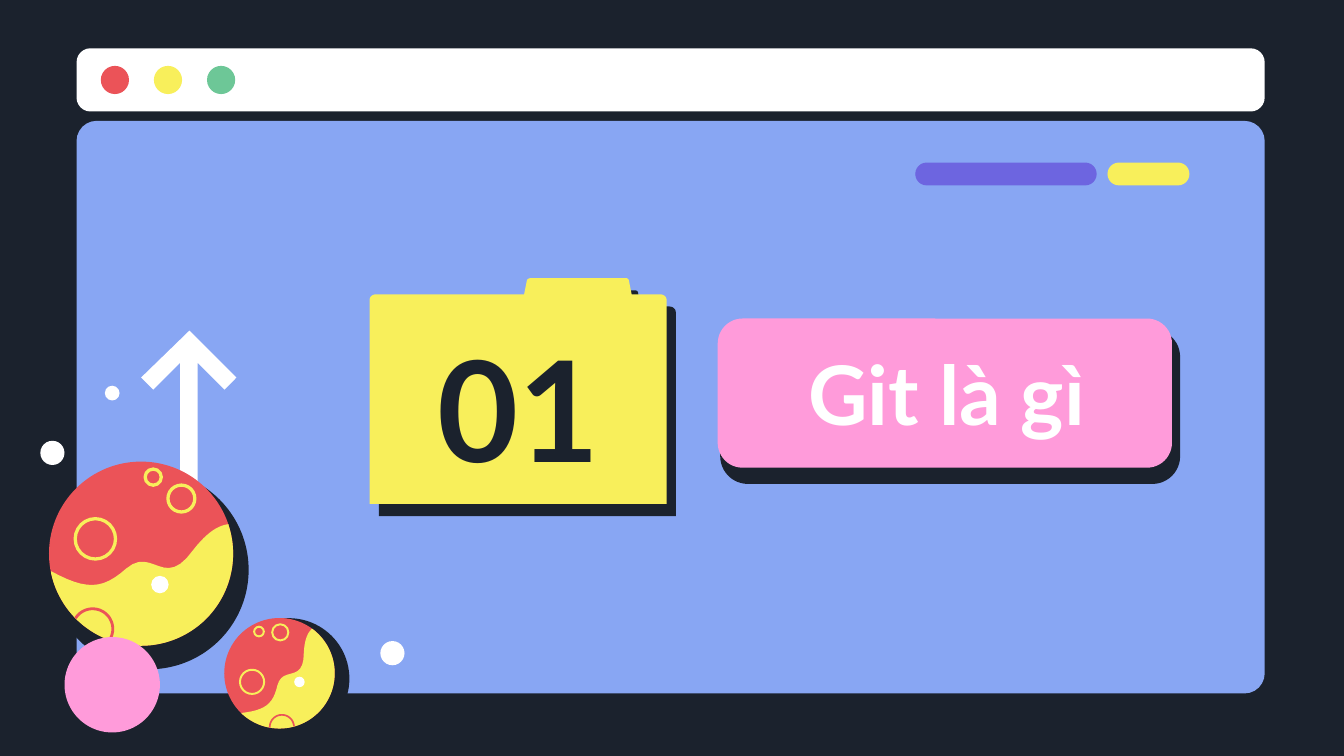
from math import cos, radians, sin

from lxml import etree
from pptx import Presentation
from pptx.dml.color import RGBColor
from pptx.enum.shapes import MSO_SHAPE
from pptx.enum.text import MSO_ANCHOR, PP_ALIGN
from pptx.oxml.ns import qn
from pptx.util import Inches, Pt

OVAL, ROUND = MSO_SHAPE.OVAL, MSO_SHAPE.ROUNDED_RECTANGLE
MIDDLE, CENTER = MSO_ANCHOR.MIDDLE, PP_ALIGN.CENTER

DARK = RGBColor(0x1B, 0x22, 0x2D)
WHITE = RGBColor(0xFF, 0xFF, 0xFF)
BLUE = RGBColor(0x88, 0xA6, 0xF3)
RED = RGBColor(0xEB, 0x53, 0x58)
YELLOW = RGBColor(0xF8, 0xEF, 0x5B)
GREEN = RGBColor(0x6D, 0xC7, 0x97)
PURPLE = RGBColor(0x6D, 0x65, 0xE0)
PINK = RGBColor(0xFF, 0x9B, 0xDA)

prs = Presentation()
prs.slide_width = Inches(10)
prs.slide_height = prs.slide_width * 9 // 16
slide = prs.slides.add_slide(prs.slide_layouts[6])
slide.background.fill.solid()
slide.background.fill.fore_color.rgb = DARK
shapes = slide.shapes


def draw(outline, fill, line=None, width=0, closed=True):
    """Draw (preset, x, y, w, h), or a list of points as a freeform."""
    if isinstance(outline, tuple):
        s = shapes.add_shape(outline[0], *map(Inches, outline[1:]))
    else:
        points = [(Inches(x), Inches(y)) for x, y in outline]
        builder = shapes.build_freeform(*points[0])
        builder.add_line_segments(points[1:], close=closed)
        s = builder.convert_to_shape()
    s.shadow.inherit = False
    if fill is None:
        s.fill.background()
    else:
        s.fill.solid()
        s.fill.fore_color.rgb = fill
    if line is None:
        s.line.fill.background()
    else:
        s.line.color.rgb = line
        s.line.width = Pt(width)
    return s


def bezier(a, b, c, d, steps=12):
    ts = [i / steps for i in range(steps + 1)]
    return [tuple((1 - t) ** 3 * p + 3 * t * (1 - t) ** 2 * q
                  + 3 * t * t * (1 - t) * r + t ** 3 * s
                  for p, q, r, s in zip(a, b, c, d)) for t in ts]


# Browser window
for x, y, w, h, adj, color in [
    (0.57, 0.9, 8.84, 4.26, 0.035, BLUE),
    (0.57, 0.36, 8.84, 0.47, 0.22, WHITE),
    (6.81, 1.21, 1.35, 0.17, 0.5, PURPLE),
    (8.24, 1.21, 0.61, 0.17, 0.5, YELLOW),
]:
    draw((ROUND, x, y, w, h), color).adjustments[0] = adj
for i, color in enumerate([RED, YELLOW, GREEN]):
    draw((OVAL, 0.75 + i * 0.395, 0.49, 0.21, 0.21), color)

for x, y, d in [(0.3, 3.28, 0.18), (2.83, 4.77, 0.18), (0.78, 2.87, 0.11)]:
    draw((OVAL, x, y, d, d), WHITE)

# Arrow
draw([(1.34, 4.29), (1.34, 2.7), (1.14, 2.9), (1.05, 2.81), (1.41, 2.46),
      (1.76, 2.81), (1.67, 2.9), (1.47, 2.7), (1.47, 4.29)], WHITE)

# Title button
back = draw((ROUND, 5.38, 2.47, 3.38, 1.11), DARK, DARK, 3)
front = draw((ROUND, 5.34, 2.37, 3.38, 1.11), PINK)
for s in (back, front):
    s.adjustments[0] = 0.167

# Folder with a hard shadow
folder = draw(
    [(4.96, 3.75), (2.75, 3.75)]
    + bezier((2.75, 2.23), (2.75, 2.21), (2.77, 2.19), (2.8, 2.19))
    + [(3.9, 2.19)]
    + bezier((3.92, 2.09), (3.92, 2.08), (3.93, 2.07), (3.95, 2.07))
    + bezier((4.66, 2.07), (4.67, 2.07), (4.68, 2.08), (4.68, 2.09))
    + [(4.7, 2.19)]
    + bezier((4.91, 2.19), (4.94, 2.19), (4.96, 2.21), (4.96, 2.23)),
    YELLOW)
effects = folder._element.spPr.find(qn("a:effectLst"))
shadow = etree.SubElement(effects, qn("a:outerShdw"), dist=str(Pt(8.2)),
                          dir=str(53 * 60000), algn="bl", rotWithShape="0")
etree.SubElement(shadow, qn("a:srgbClr"), val=str(DARK))

for text, x, y, w, h, size, color in [
    ("01", 3.01, 2.53, 1.7, 0.99, 75, DARK),
    ("Git là gì", 5.45, 2.46, 3.19, 0.92, 44, WHITE),
]:
    tf = shapes.add_textbox(*map(Inches, (x, y, w, h))).text_frame
    tf.word_wrap = True
    tf.vertical_anchor = MIDDLE
    tf.margin_left = tf.margin_right = Inches(0.1)
    tf.margin_top = tf.margin_bottom = Inches(0.1)
    p = tf.paragraphs[0]
    p.text = text
    p.alignment = CENTER
    p.font.name, p.font.size, p.font.bold = "Lato", Pt(size), True
    p.font.color.rgb = color

# Planet parts, measured from the centre of the large planet
RADIUS = 0.685
lowland = (
    bezier((-0.67, 0.13), (-0.41, 0.27), (-0.29, 0.27), (-0.11, 0.11))
    + bezier((-0.11, 0.11), (0.09, -0.06), (0.17, 0.28), (0.39, -0.03))
    + bezier((0.39, -0.03), (0.5, -0.17), (0.58, -0.21), (0.65, -0.22))
    + [(RADIUS * cos(radians(a)), RADIUS * sin(radians(a)))
       for a in range(-18, 170, 3)])
crater = [(-0.36 + 0.15 * cos(radians(a)), 0.56 + 0.15 * sin(radians(a)))
          for a in range(-148, 33, 6)]
discs = [  # x, y, diameter, fill, line
    (-0.34, -0.11, 0.3, None, YELLOW),
    (0.3, -0.41, 0.2, None, YELLOW),
    (0.09, -0.57, 0.12, None, YELLOW),
    (0.14, 0.23, 0.13, WHITE, None),
]

for cx, cy, scale, turn, shade in [
    (1.05, 4.12, 1, 0, (0.37, 3.5, 1.48, 1.48)),
    (2.08, 5.01, 0.6, -35.2, (1.7, 4.6, 0.9, 0.9)),
]:
    c, n = scale * cos(radians(turn)), scale * sin(radians(turn))
    ground, rim, centers = [
        [(cx + x * c - y * n, cy + x * n + y * c) for x, y in part]
        for part in (lowland, crater, [disc[:2] for disc in discs])]
    r = RADIUS * scale
    draw((OVAL, *shade), DARK)
    draw((OVAL, cx - r, cy - r, 2 * r, 2 * r), RED)
    draw(ground, YELLOW)
    draw(rim, None, RED, 1.5 * scale, closed=False)
    for (x, y), (_, _, d, fill, line) in zip(centers, discs):
        d *= scale
        draw((OVAL, x - d / 2, y - d / 2, d, d), fill, line, 1.75 * scale)
    if scale == 1:
        draw((OVAL, 0.48, 4.74, 0.71, 0.71), PINK)

prs.save("out.pptx")
